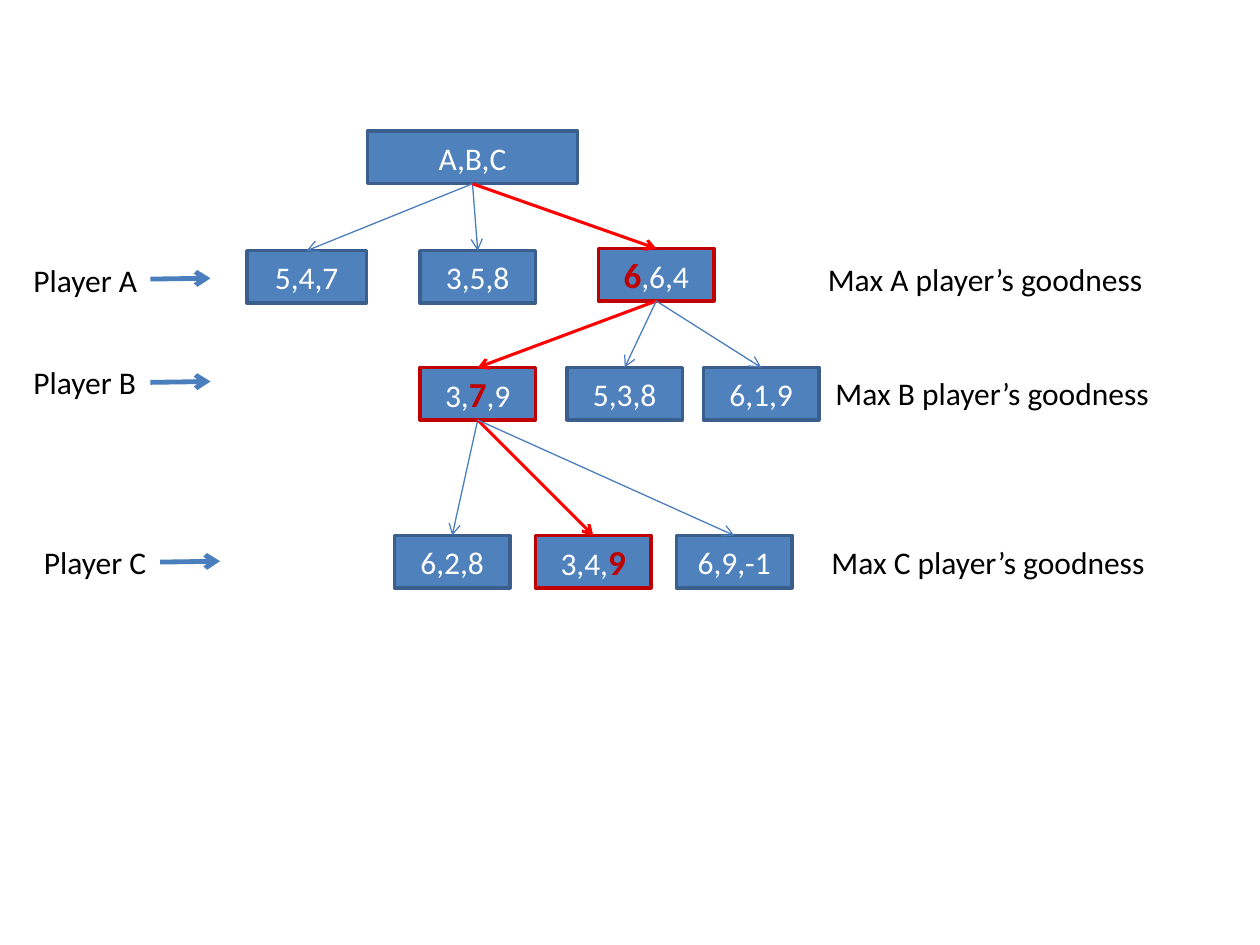
from lxml import etree
from pptx import Presentation
from pptx.dml.color import RGBColor
from pptx.enum import shapes, text
from pptx.oxml.ns import qn
from pptx.util import Pt

THEME = {
    "font": "Calibri", "size": 18, "best_size": 20,
    "box": "4F81BD", "border": "3A5F8C", "best": "C00000",
    "box_text": "FFFFFF", "label": "000000",
    "edge": "4B7EBC", "best_edge": "FF0000",
    "border_width": 2, "edge_width": 0.75, "best_edge_width": 1.75, "pointer_width": 2.75,
}
BOX_WIDTH, BOX_HEIGHT, LABEL_HEIGHT = 66, 30, 29.08

ROOT = ("A,B,C", 210, 75, 120)
# Each move: scores, left, top, width. The best move leads to the next level.
# Labels: left, top, width.
LEVELS = [
    {"player": "A", "best": 2,
     "moves": [("5,4,7", 141, 143.3, 68.4), ("3,5,8", 240, 143.3, BOX_WIDTH),
               ("6,6,4", 342, 142, BOX_WIDTH)],
     "name": (12, 145.7, 74), "goal": (466, 145, 196.5), "pointer_y": 159.5},
    {"player": "B", "best": 0,
     "moves": [(scores, left, 210, BOX_WIDTH)
               for scores, left in (("3,7,9", 240), ("5,3,8", 324), ("6,1,9", 402))],
     "name": (12, 204, 74), "goal": (470.3, 210, 196), "pointer_y": 218.5},
    {"player": "C", "best": 1,
     "moves": [(scores, 225.4 + 80.6 * column, 306, BOX_WIDTH)
               for column, scores in enumerate(("6,2,8", "3,4,9", "6,9,-1"))],
     "name": (18, 306.7, 73.5), "goal": (468, 306.7, 196), "pointer_y": 321.2},
]


def color(name):
    return RGBColor.from_string(THEME[name])


def set_font(font, color_name, size="size"):
    font.name = THEME["font"]
    font.size = Pt(THEME[size])
    font.color.rgb = color(color_name)


def add_box(slide, scores, left, top, width, best_score=None):
    """Add a state box; best_score is the index of the score to highlight."""
    box = slide.shapes.add_shape(shapes.MSO_SHAPE.RECTANGLE,
                                 Pt(left), Pt(top), Pt(width), Pt(BOX_HEIGHT))
    box.shadow.inherit = False
    box.fill.solid()
    box.fill.fore_color.rgb = color("box")
    box.line.color.rgb = color("border" if best_score is None else "best")
    box.line.width = Pt(THEME["border_width"])
    box.text_frame.vertical_anchor = text.MSO_ANCHOR.MIDDLE
    paragraph = box.text_frame.paragraphs[0]
    paragraph.alignment = text.PP_ALIGN.CENTER
    set_font(paragraph.font, "box_text")
    if best_score is None:
        paragraph.add_run().text = scores
        return box
    parts = scores.split(",")
    before = "".join(part + "," for part in parts[:best_score])
    after = "".join("," + part for part in parts[best_score + 1:])
    for content, is_best in ((before, False), (parts[best_score], True), (after, False)):
        if content:
            run = paragraph.add_run()
            run.text = content
            if is_best:
                set_font(run.font, "best", "best_size")
                run.font.bold = True
    return box


def add_label(slide, content, left, top, width):
    label = slide.shapes.add_textbox(Pt(left), Pt(top), Pt(width), Pt(LABEL_HEIGHT))
    label.text_frame.word_wrap = False
    label.text_frame.auto_size = text.MSO_AUTO_SIZE.SHAPE_TO_FIT_TEXT
    paragraph = label.text_frame.paragraphs[0]
    paragraph.text = content
    set_font(paragraph.font, "label")


def add_arrow(slide, start, end, color_name, width_name):
    arrow = slide.shapes.add_connector(shapes.MSO_CONNECTOR.STRAIGHT,
                                       *(Pt(value) for value in start + end))
    arrow.line.color.rgb = color(color_name)
    arrow.line.width = Pt(THEME[width_name])
    etree.SubElement(arrow.line._get_or_add_ln(), qn("a:tailEnd"), type="arrow")
    etree.SubElement(arrow._element.spPr, qn("a:effectLst"))
    return arrow


def add_edge(slide, parent, child, is_best):
    prefix = "best_edge" if is_best else "edge"
    edge = add_arrow(slide, (0, 0), (0, 0), prefix, prefix + "_width")
    edge.begin_connect(parent, 2)
    edge.end_connect(child, 0)


def main():
    presentation = Presentation()
    presentation.slide_width, presentation.slide_height = Pt(720), Pt(540)
    slide = presentation.slides.add_slide(presentation.slide_layouts[6])

    parent = add_box(slide, *ROOT)
    for player_index, level in enumerate(LEVELS):
        best = level["best"]
        boxes = [add_box(slide, *move, best_score=player_index if index == best else None)
                 for index, move in enumerate(level["moves"])]
        for index, box in enumerate(boxes):
            add_edge(slide, parent, box, index == best)
        parent = boxes[best]

        add_label(slide, f"Player {level['player']}", *level["name"])
        add_label(slide, f"Max {level['player']} player’s goodness", *level["goal"])
        left, _, width = level["name"]
        start, y = left + width, level["pointer_y"]
        add_arrow(slide, (start, y), (start + 34.3, y - 0.5), "edge", "pointer_width")

    presentation.save("out.pptx")


if __name__ == "__main__":
    main()
